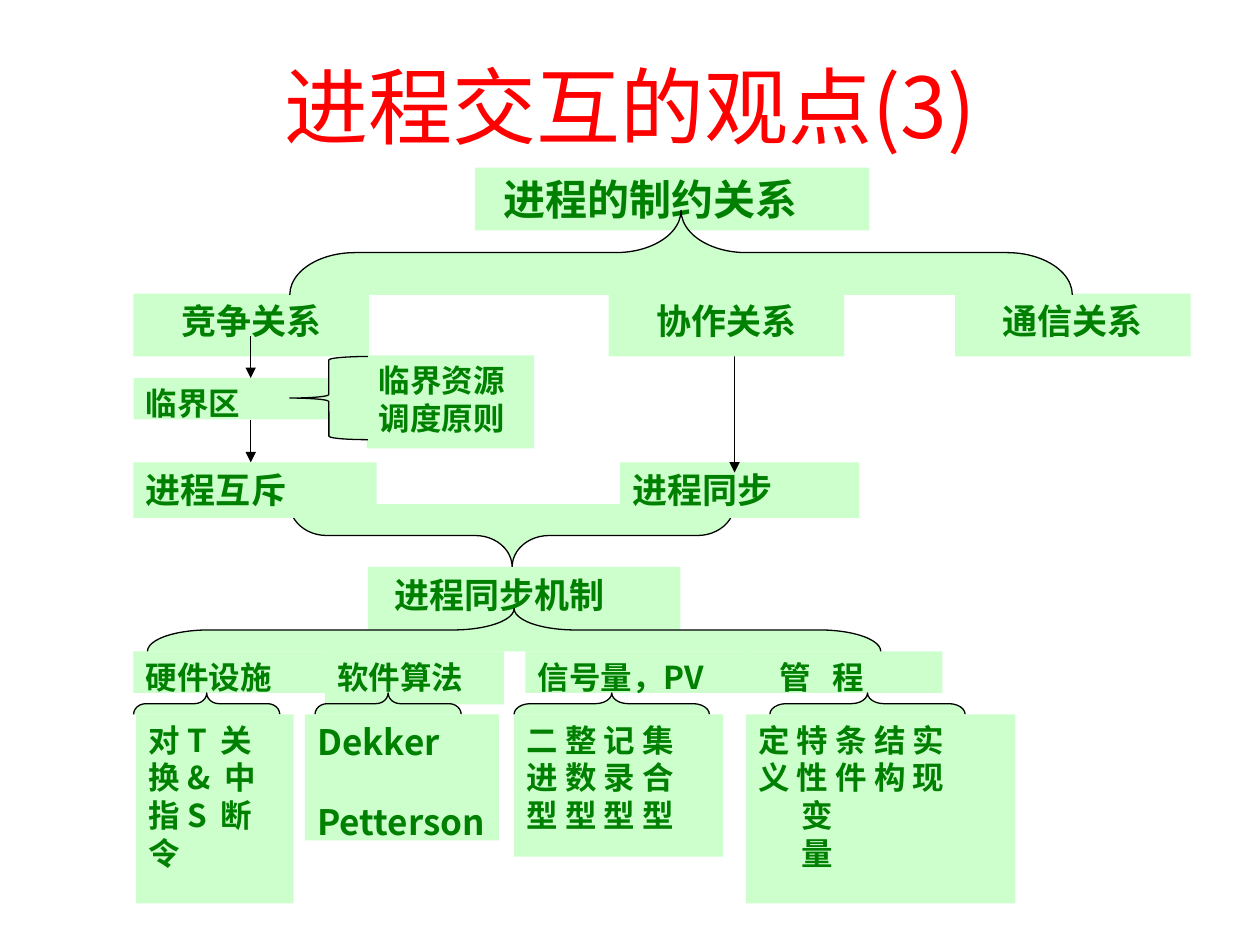
"""Build the slide on process interaction as a tree of relations and mechanisms."""
import dataclasses
import typing

import pptx
import pptx.dml.color
import pptx.enum.shapes
import pptx.enum.text
import pptx.oxml.ns
import pptx.util
from lxml import etree

Inches = pptx.util.Inches
Align = pptx.enum.text.PP_ALIGN
Anchor = pptx.enum.text.MSO_ANCHOR


@dataclasses.dataclass(frozen=True)
class Theme:
    font: str = "Noto Sans CJK SC"
    panel: str = "CCFFCC"
    ink: str = "008000"
    heading: str = "FF0000"
    stroke: str = "000000"
    title: int = 48
    root: int = 24
    node: int = 20
    leaf: int = 18
    line: float = 0.75
    leading: float = 1.2


THEME = Theme()
FRAME = {
    "word_wrap": True,
    "margin_left": Inches(0.1),
    "margin_right": Inches(0.1),
    "margin_top": Inches(0.05),
    "margin_bottom": Inches(0.05),
}


@dataclasses.dataclass(frozen=True)
class Row:
    text: str
    indent: float = 0
    gap: float = 0
    before: float = 0


@dataclasses.dataclass(frozen=True)
class Node:
    left: float
    top: float
    width: float
    height: float
    rows: tuple[Row, ...]
    size: int = THEME.leaf
    align: Align = Align.LEFT


@dataclasses.dataclass(frozen=True)
class Brace:
    left: float
    top: float
    width: float
    height: float
    turn: int = 90
    bend: float = 1 / 12


@dataclasses.dataclass(frozen=True)
class Arrow:
    x: float
    start: float
    end: float


def rows(*lines: str, gap: float = 0) -> tuple[Row, ...]:
    """Wrap plain lines as rows."""
    return tuple(Row(line, gap=gap) for line in lines)


def relation(left: float, name: str) -> Node:
    """Describe one of the three relations in the second tier."""
    return Node(left, 2.33, 1.87, 0.5, rows(name), THEME.node, Align.CENTER)


def small_brace(left: float, width: float) -> Brace:
    """Describe a brace between a mechanism and its details."""
    return Brace(left, 5.5, width, 0.17)


DIAGRAM = (
    Node(2.91, 2.82, 1.33, 0.74, rows("临界资源", "调度原则")),
    Node(3.77, 1.33, 3.13, 0.5, (Row("进程的制约关系", indent=0.13),), THEME.root),
    relation(1.06, "竞争关系"),
    relation(7.58, "通信关系"),
    Brace(2.3, 1.67, 6.21, 0.67),
    Brace(2.3, 4, 3.53, 0.5, turn=270),
    Node(1.06, 3, 1.55, 0.33, rows("临界区")),
    Arrow(1.99, 2.67, 3),
    Arrow(1.99, 3.33, 3.67),
    Node(1.06, 3.67, 1.93, 0.44, rows("进程互斥"), THEME.node),
    Node(4.92, 3.67, 1.9, 0.44, rows("进程同步"), THEME.node),
    Arrow(5.83, 2.75, 3.75),
    Brace(2.3, 2.83, 0.62, 0.66, turn=0, bend=1 / 24),
    Node(2.92, 4.5, 2.48, 0.5, (Row("进程同步机制", indent=0.11),), THEME.node),
    Node(1.06, 5.17, 1.87, 0.33, rows("硬件设施")),
    Node(2.58, 5.17, 1.42, 0.42, rows("软件算法")),
    Node(4.17, 5.17, 1.8, 0.33, rows("信号量，PV")),
    Node(5.92, 5.17, 1.56, 0.33, (Row("管 程", indent=0.17, gap=8),)),
    small_brace(1.06, 1.16),
    Node(1.08, 5.67, 1.25, 1.5, (*rows("对 T 关", "换 & 中", "指 S 断", gap=4), Row("令"))),
    small_brace(2.5, 1.16),
    Node(2.42, 5.67, 1.54, 1, (Row("Dekker"), Row("Petterson", before=21.6)), THEME.node),
    small_brace(4.08, 1.55),
    Node(4.08, 5.67, 1.66, 1.13, rows("二 整 记 集", "进 数 录 合", "型 型 型 型")),
    small_brace(6.11, 1.55),
    Node(5.92, 5.67, 2.14, 1.5, (
        *rows("定 特 条 结 实", "义 性 件 构 现"), Row("变", indent=0.34), Row("量", indent=0.34))),
    Brace(1.17, 4.83, 5.82, 0.34),
    relation(4.83, "协作关系"),
)


def rgb(code: str) -> pptx.dml.color.RGBColor:
    """Turn a hex code into a colour."""
    return pptx.dml.color.RGBColor.from_string(code)


def child(parent: typing.Any, tag: str, **attributes: str) -> typing.Any:
    """Append a DrawingML element."""
    return etree.SubElement(parent, pptx.oxml.ns.qn(tag), attributes)


def apply(target: typing.Any, values: dict[str, typing.Any]) -> None:
    """Set each named attribute on the target."""
    for name, value in values.items():
        setattr(target, name, value)


def write(frame: typing.Any, lines: tuple[Row, ...], size: int, color: str,
          align: Align, bold: bool, anchor: Anchor) -> None:
    """Fill a text frame, widening the last space of rows that have a gap."""
    apply(frame, FRAME | {"vertical_anchor": anchor})
    for index, row in enumerate(lines):
        paragraph = frame.add_paragraph() if index else frame.paragraphs[0]
        properties = paragraph._p.get_or_add_pPr()
        properties.set("marL", str(Inches(row.indent)))
        properties.set("indent", "0")
        apply(paragraph, {"alignment": align, "line_spacing": pptx.util.Pt(size * THEME.leading)})
        if row.before:
            paragraph.space_before = pptx.util.Pt(row.before)
        for piece in row.text.rpartition(" ") if row.gap else (row.text,):
            run = paragraph.add_run()
            run.text = piece
            apply(run.font, {"name": THEME.font, "size": pptx.util.Pt(size), "bold": bold})
            run.font.color.rgb = rgb(color)
            style = run._r.get_or_add_rPr()
            child(style, "a:ea", typeface=THEME.font)
            if piece == " ":
                style.set("spc", str(round(row.gap * 100)))


def panel(shapes: typing.Any, preset: typing.Any, *box: float) -> typing.Any:
    """Add a flat shape in the panel colour."""
    shape = shapes.add_shape(preset, *map(Inches, box))
    shape.shadow.inherit = False
    shape.fill.solid()
    shape.fill.fore_color.rgb = rgb(THEME.panel)
    return shape


def stroke(line: typing.Any) -> None:
    """Give a line the diagram's stroke."""
    line.color.rgb = rgb(THEME.stroke)
    line.width = pptx.util.Pt(THEME.line)


def draw_node(shapes: typing.Any, node: Node) -> None:
    """Draw a labelled box."""
    box = panel(shapes, pptx.enum.shapes.MSO_SHAPE.RECTANGLE,
                node.left, node.top, node.width, node.height)
    box.line.fill.background()
    write(box.text_frame, node.rows, node.size, THEME.ink, node.align, True, Anchor.TOP)


def draw_brace(shapes: typing.Any, brace: Brace) -> None:
    """Draw a brace that fills its box after turning."""
    depth, span = (brace.height, brace.width) if brace.turn else (brace.width, brace.height)
    left = brace.left + (brace.width - depth) / 2
    top = brace.top + (brace.height - span) / 2
    curve = panel(shapes, pptx.enum.shapes.MSO_SHAPE.LEFT_BRACE, left, top, depth, span)
    curve.adjustments[0] = span * brace.bend / min(depth, span)
    curve.rotation = brace.turn
    stroke(curve.line)


def draw_arrow(shapes: typing.Any, arrow: Arrow) -> None:
    """Draw a downward arrow."""
    ends = map(Inches, (arrow.x, arrow.start, arrow.x, arrow.end))
    link = shapes.add_connector(pptx.enum.shapes.MSO_CONNECTOR.STRAIGHT, *ends)
    stroke(link.line)
    child(link.line._get_or_add_ln(), "a:tailEnd", type="triangle")
    child(link._element.spPr, "a:effectLst")


def main() -> None:
    """Build and save the slide."""
    deck = pptx.Presentation()
    apply(deck, {"slide_width": Inches(10), "slide_height": Inches(7.5)})
    shapes = deck.slides.add_slide(deck.slide_layouts[6]).shapes
    title = shapes.add_textbox(*map(Inches, (0.75, 0.17, 8.5, 1.32)))
    write(title.text_frame, rows("进程交互的观点(3)"), THEME.title, THEME.heading,
          Align.CENTER, False, Anchor.MIDDLE)
    painters = {Node: draw_node, Brace: draw_brace, Arrow: draw_arrow}
    for part in DIAGRAM:
        painters[type(part)](shapes, part)
    deck.save("out.pptx")


if __name__ == "__main__":
    main()
